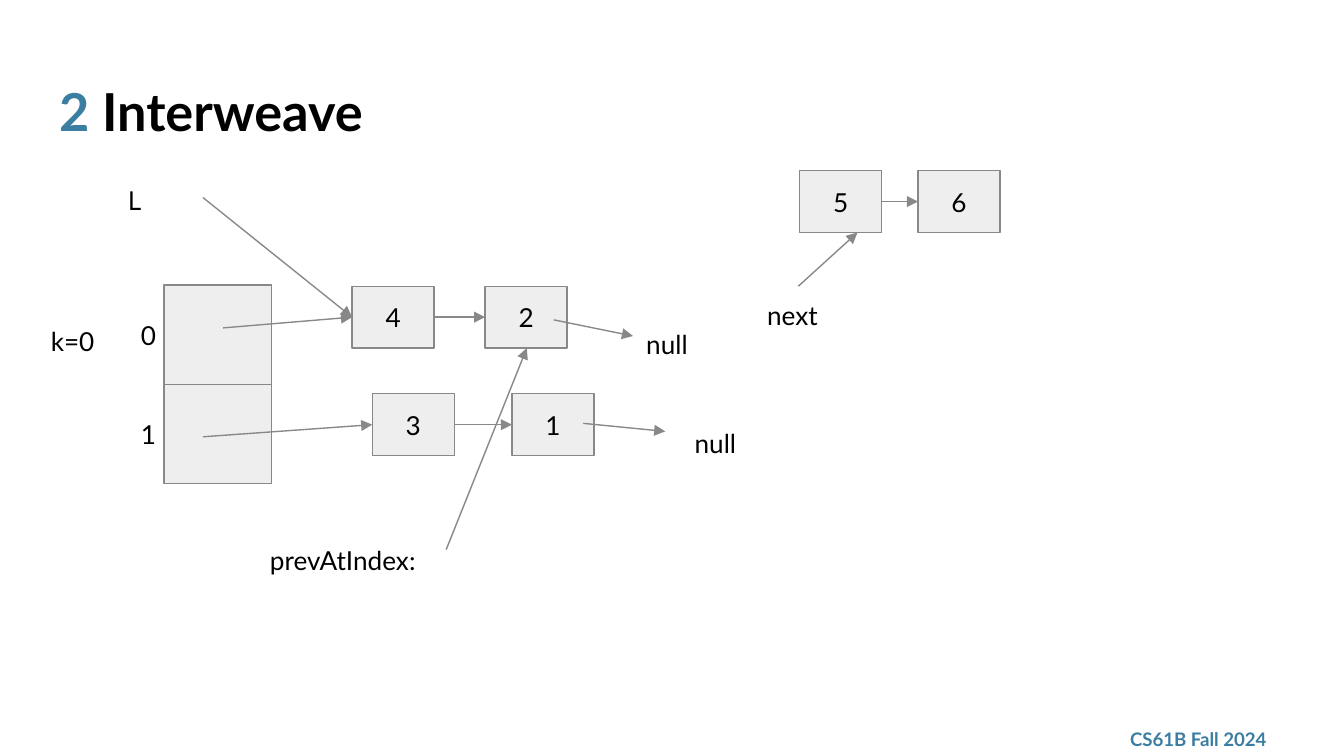
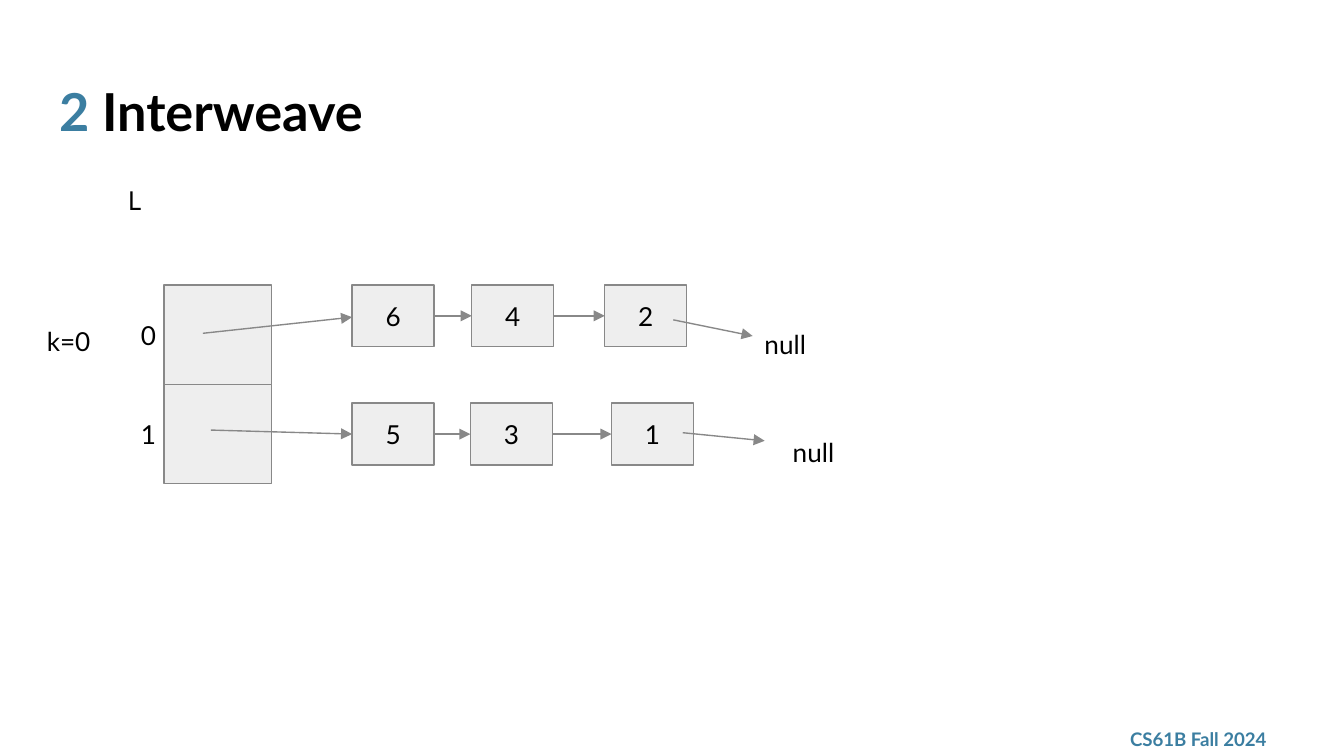
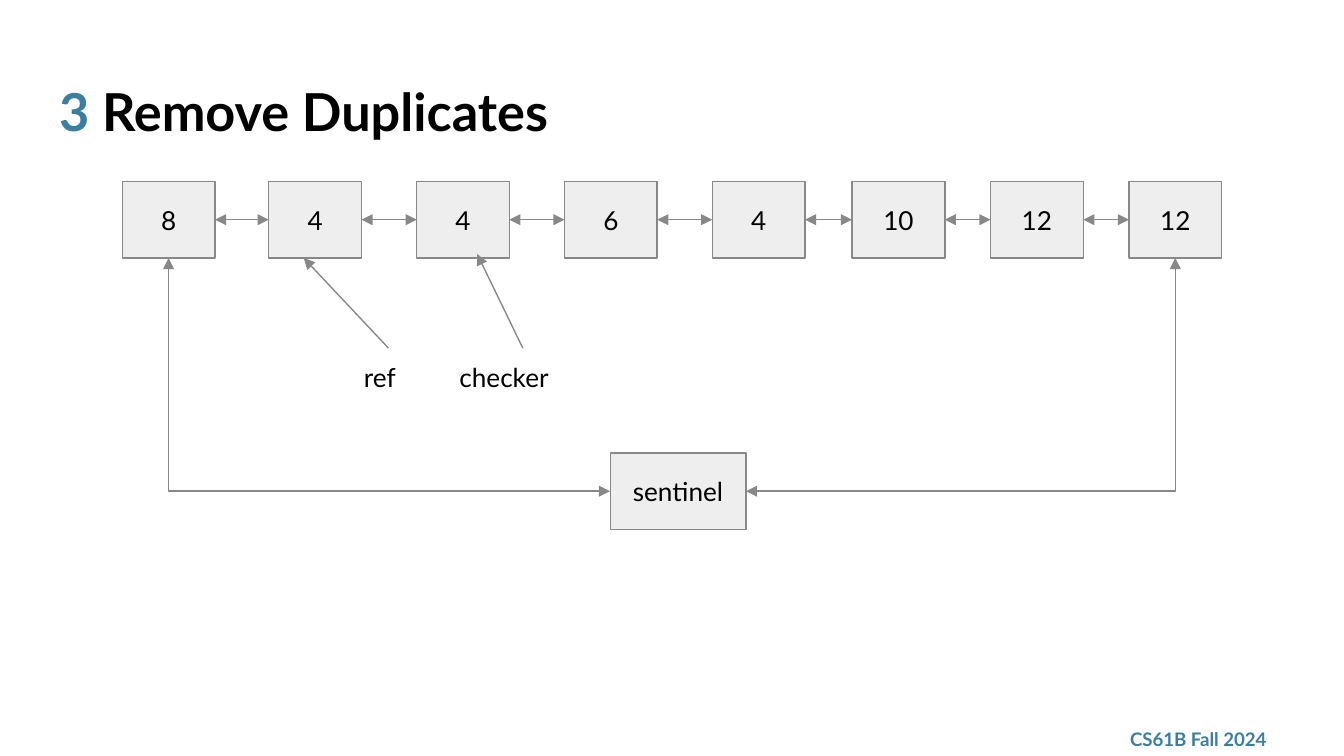
from typing import NamedTuple

import pptx
import pptx.dml.color
import pptx.enum.shapes
import pptx.enum.text
import pptx.oxml
import pptx.oxml.ns
import pptx.util

Inches = pptx.util.Inches
ANCHOR = pptx.enum.text.MSO_ANCHOR
ALIGN = pptx.enum.text.PP_ALIGN
CONNECTOR = pptx.enum.shapes.MSO_CONNECTOR

BLUE, BLACK, GREY, PALE = "3B7EA1", "000000", "888888", "EEEEEE"
FONT, MONO = "Lato", "Noto Sans Mono"
LEFT, BOTTOM, RIGHT = 1, 2, 3  # connection sites of a rectangle


class Label(NamedTuple):
    text: str
    x: float
    y: float
    w: float = 0.66
    h: float = 0.34
    font: str = FONT


class Arrow(NamedTuple):
    x1: float
    y1: float
    x2: float
    y2: float


class Chain(NamedTuple):
    """A row of linked list nodes."""
    values: list[str]
    lefts: list[float]
    top: float
    w: float = 0.61
    h: float = 0.46
    double: bool = False


def rgb(color: str) -> pptx.dml.color.RGBColor:
    return pptx.dml.color.RGBColor.from_string(color)


def add_run(p, text: str, *, size=14, font=FONT, color=BLACK, bold=False) -> None:
    r = p.add_run()
    r.text = text
    r.font.size = pptx.util.Pt(size)
    r.font.name = font
    r.font.bold = bold
    r.font.color.rgb = rgb(color)


def set_frame(tf, anchor=ANCHOR.TOP) -> None:
    tf.word_wrap = True
    tf.auto_size = pptx.enum.text.MSO_AUTO_SIZE.NONE
    tf.vertical_anchor = anchor
    tf.margin_left = tf.margin_right = tf.margin_top = tf.margin_bottom = Inches(0.1)


def add_label(s, label: Label, anchor=ANCHOR.TOP, **fmt) -> None:
    box = s.shapes.add_textbox(*map(Inches, label[1:5]))
    set_frame(box.text_frame, anchor)
    add_run(box.text_frame.paragraphs[0], label.text, font=label.font, **fmt)


def add_box(s, x: float, y: float, w: float, h: float, text: str = ""):
    sp = s.shapes.add_shape(pptx.enum.shapes.MSO_SHAPE.RECTANGLE, *map(Inches, (x, y, w, h)))
    sp.shadow.inherit = False
    sp.fill.solid()
    sp.fill.fore_color.rgb = rgb(PALE)
    sp.line.color.rgb = rgb(GREY)
    sp.line.width = pptx.util.Pt(0.75)
    if text:
        set_frame(sp.text_frame, ANCHOR.MIDDLE)
        p = sp.text_frame.paragraphs[0]
        p.alignment = ALIGN.CENTER
        add_run(p, text)
    return sp


def add_arrow(s, arrow: Arrow, kind=CONNECTOR.STRAIGHT, double: bool = False):
    c = s.shapes.add_connector(kind, *map(Inches, arrow))
    c.line.color.rgb = rgb(GREY)
    c.line.width = pptx.util.Pt(0.75)
    ln = c.line._get_or_add_ln()
    for tag in ["a:headEnd", "a:tailEnd"] if double else ["a:tailEnd"]:
        end = pptx.oxml.parse_xml(f'<{tag} {pptx.oxml.ns.nsdecls("a")} type="triangle"/>')
        ln.append(end)
    c._element.spPr.append(pptx.oxml.parse_xml(f'<a:effectLst {pptx.oxml.ns.nsdecls("a")}/>'))
    return c


def link(s, start, start_site: int, end, end_site: int, *, bent=False, double=False) -> None:
    """Join two boxes; a bent link turns one corner."""
    c = add_arrow(s, Arrow(0, 0, 1, 1), CONNECTOR.ELBOW if bent else CONNECTOR.STRAIGHT, double)
    c.begin_connect(start, start_site)
    c.end_connect(end, end_site)
    if bent:
        c._element.spPr.find(pptx.oxml.ns.qn("a:prstGeom")).set("prst", "bentConnector2")


def add_chain(s, chain: Chain) -> list:
    nodes = [add_box(s, x, chain.top, chain.w, chain.h, value)
             for value, x in zip(chain.values, chain.lefts)]
    for left, right in zip(nodes, nodes[1:]):
        link(s, left, RIGHT, right, LEFT, double=chain.double)
    return nodes


def add_slide(prs, number: str, title: str):
    s = prs.slides.add_slide(prs.slide_layouts[5])
    sp = s.shapes.title
    sp.left, sp.top, sp.width, sp.height = map(Inches, (0.34, 0.49, 9.32, 0.63))
    set_frame(sp.text_frame)
    p = sp.text_frame.paragraphs[0]
    p.alignment = ALIGN.LEFT
    add_run(p, number, size=28, color=BLUE, bold=True)
    add_run(p, f" {title}", size=28, bold=True)
    add_label(s, Label("CS61B Fall 2024", 8.31, 5.37, 1.35, 0.26),
              ANCHOR.MIDDLE, size=10, color=BLUE, bold=True)
    return s


def add_interweave(prs, k_left: float, chains: list[Chain],
                   labels: list[Label], arrows: list[Arrow]) -> None:
    s = add_slide(prs, "2", "Interweave")
    for chain in chains:
        add_chain(s, chain)
    for i in range(2):
        add_box(s, 1.22, 2.12 + 0.74 * i, 0.8, 0.74)
        add_label(s, Label(str(i), 0.95, 2.28 + 0.73 * i, 0.28, 0.43))
    shared = [Label("L", 0.85, 1.27, h=0.4, font=MONO), Label("k=0", k_left, 2.32)]
    for label in shared + labels:
        add_label(s, label)
    for arrow in arrows:
        add_arrow(s, arrow)


def add_remove_duplicates(prs) -> None:
    s = add_slide(prs, "3", "Remove Duplicates")
    nodes = add_chain(s, Chain(["8", "4", "4", "6", "4", "10", "12", "12"],
                               [0.91, 2, 3.1, 4.2, 5.3, 6.34, 7.37, 8.4],
                               1.35, 0.69, 0.57, double=True))
    sentinel = add_box(s, 4.54, 3.37, 1.01, 0.57, "sentinel")
    link(s, sentinel, LEFT, nodes[0], BOTTOM, bent=True, double=True)
    link(s, sentinel, RIGHT, nodes[-1], BOTTOM, bent=True, double=True)
    add_label(s, Label("ref", 2.61, 2.59, 0.77))
    add_label(s, Label("checker", 3.32, 2.59, 1.14))
    add_arrow(s, Arrow(2.89, 2.59, 2.26, 1.92))
    add_arrow(s, Arrow(3.89, 2.59, 3.55, 1.89))


def main() -> None:
    prs = pptx.Presentation()
    prs.slide_width, prs.slide_height = Inches(10), Inches(10 * 9 / 16)
    add_interweave(
        prs, 0.28,
        [Chain(["4", "2"], [2.62, 3.61], 2.13),
         Chain(["3", "1"], [2.77, 3.81], 2.93),
         Chain(["5", "6"], [5.95, 6.83], 1.27)],
        [Label("next", 5.61, 2.13),
         Label("prevAtIndex:", 1.91, 3.95, 1.79),
         Label("null", 4.71, 2.34, 0.6, 0.29),
         Label("null", 5.07, 3.08, 0.6, 0.29)],
        [Arrow(5.94, 2.13, 6.38, 1.73),
         Arrow(4.34, 3.15, 4.95, 3.21),
         Arrow(1.66, 2.44, 2.62, 2.36),
         Arrow(4.12, 2.38, 4.71, 2.5),
         Arrow(3.32, 4.09, 3.92, 2.59),
         Arrow(1.51, 3.25, 2.77, 3.16),
         Arrow(1.51, 1.47, 2.62, 2.36)])
    add_interweave(
        prs, 0.25,
        [Chain(["6", "4", "2"], [2.62, 3.51, 4.5], 2.12),
         Chain(["5", "3", "1"], [2.62, 3.5, 4.55], 3)],
        [Label("null", 5.59, 2.34, 0.6, 0.29),
         Label("null", 5.8, 3.15, 0.6, 0.29)],
        [Arrow(5.08, 3.22, 5.69, 3.28),
         Arrow(1.51, 2.48, 2.62, 2.36),
         Arrow(5.01, 2.38, 5.6, 2.5),
         Arrow(1.57, 3.2, 2.62, 3.23)])
    add_remove_duplicates(prs)
    prs.save("out.pptx")


if __name__ == "__main__":
    main()
